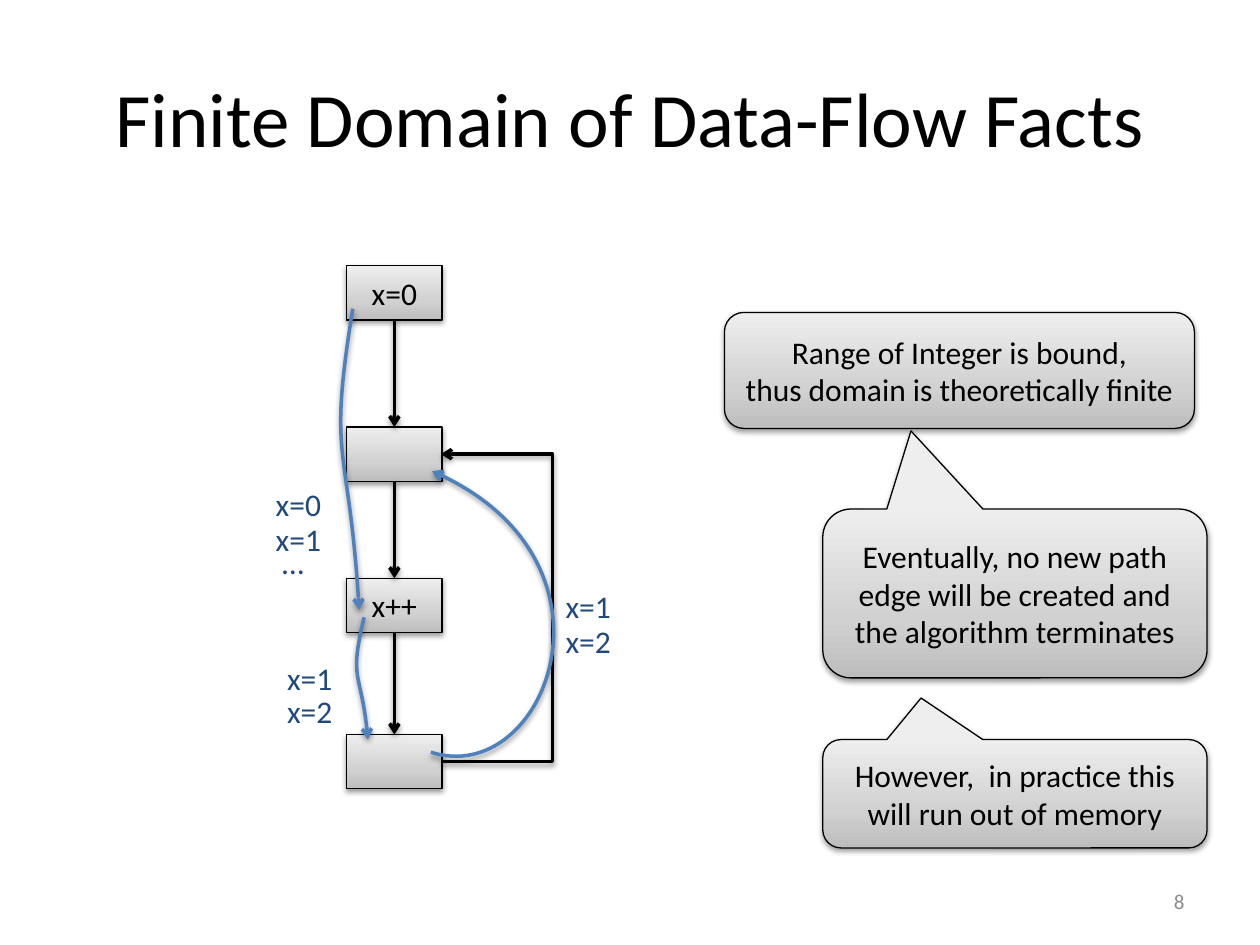
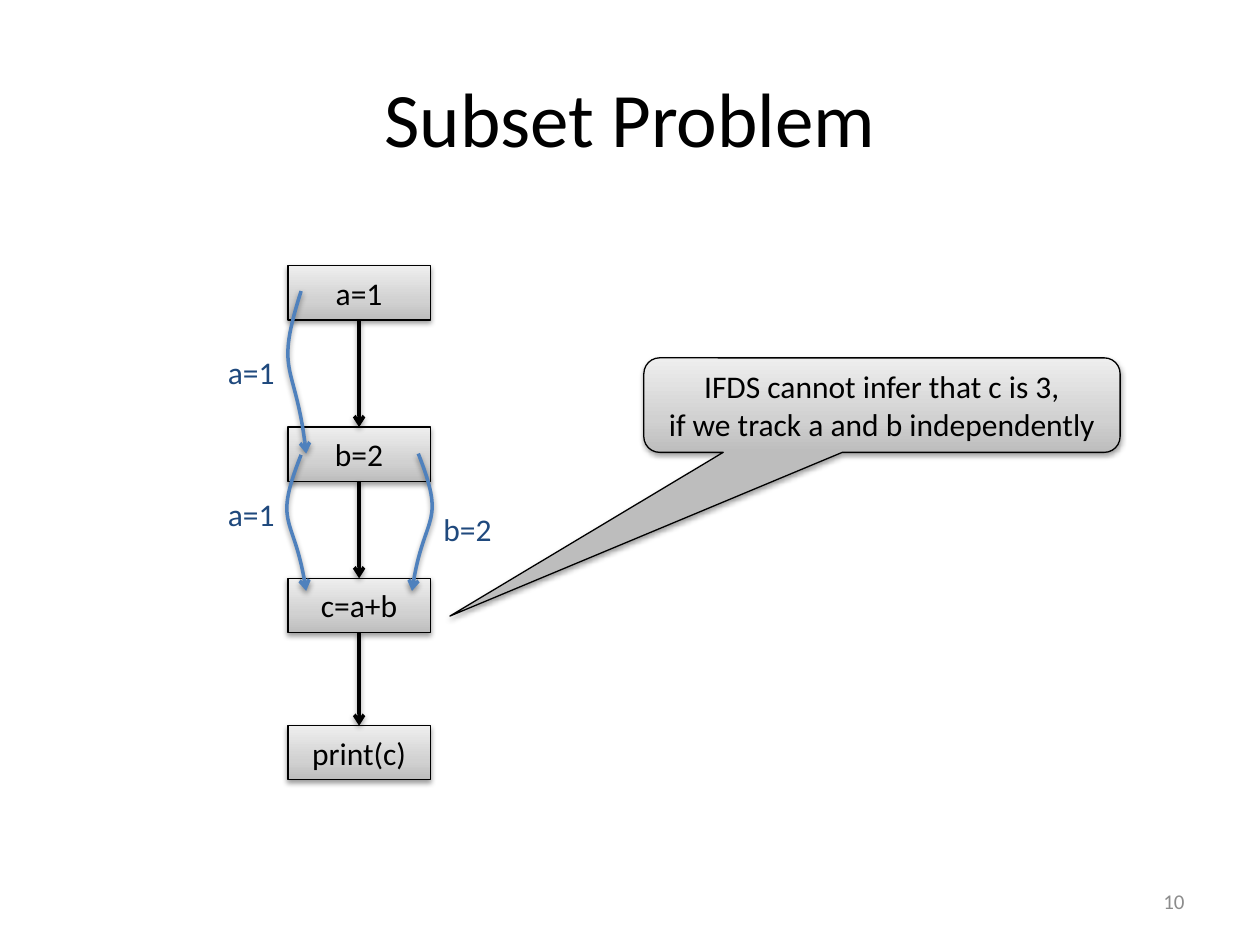
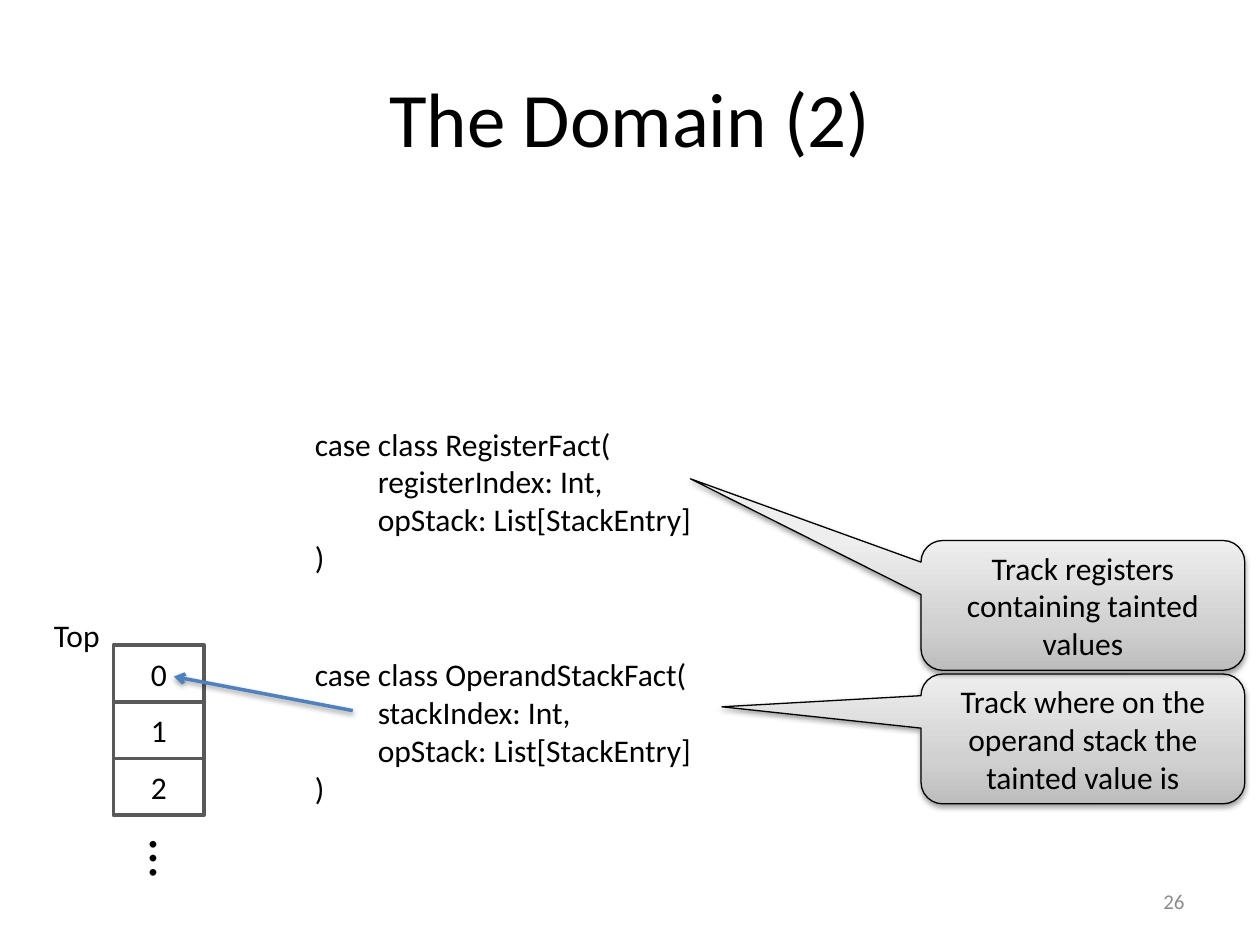
from copy import deepcopy
from dataclasses import dataclass
from itertools import pairwise

from lxml import etree
from pptx import Presentation
from pptx.dml.color import RGBColor
from pptx.enum.shapes import MSO_CONNECTOR, MSO_SHAPE
from pptx.enum.text import MSO_ANCHOR, MSO_AUTO_SIZE, PP_ALIGN
from pptx.oxml.ns import qn
from pptx.util import Inches, Pt

STRAIGHT, ELBOW = MSO_CONNECTOR.STRAIGHT, MSO_CONNECTOR.ELBOW
RECTANGLE, ROUNDED = MSO_SHAPE.RECTANGLE, MSO_SHAPE.ROUNDED_RECTANGLE
CALLOUT = MSO_SHAPE.ROUNDED_RECTANGULAR_CALLOUT
TOP, MIDDLE = MSO_ANCHOR.TOP, MSO_ANCHOR.MIDDLE
LEFT, CENTER, RIGHT = PP_ALIGN.LEFT, PP_ALIGN.CENTER, PP_ALIGN.RIGHT
FIT_SHAPE = MSO_AUTO_SIZE.SHAPE_TO_FIT_TEXT
TITLE_ONLY = 5


@dataclass(frozen=True)
class Theme:
    font: str = "Calibri"
    title_size: int = 44
    body_size: int = 18
    dots_size: int = 32
    number_size: int = 12
    ink: str = "000000"
    paper: str = "FFFFFF"
    flow: str = "4F81BD"
    fact: str = "1F497D"
    cell_line: str = "595959"
    muted: str = "8C8C8C"
    gradient: tuple = ((0, "BDBDBD"), (0.35, "D1D1D1"), (1, "EEEEEE"))
    thin: float = 0.75
    thick: float = 2


THEME = Theme()
SLIDE_SIZE = (10, 7.5)
TITLE_BOX = (0.5, 0.3, 9, 1.25)
NUMBER_BOX = (7.17, 6.95, 2.33, 0.4)
NODE_HEIGHT = 0.43
LABEL_HEIGHT = 0.4

SLIDES = [
    {
        "title": "Finite Domain of Data-Flow Facts",
        "number": "8",
        "chain": {"center": 3.13, "width": 0.76,
                  "nodes": [("x=0", 2.11), ("", 3.39), ("x++", 4.59), ("", 5.83)]},
        "loop": {"source": 3, "target": 1, "turn": 4.4},
        "curves": [
            [(2.8, 2.45), (2.6, 3.68), (2.77, 3.47), (2.85, 4.84)],
            [(2.89, 4.9), (2.77, 5.4), (2.87, 5.31), (2.92, 5.87)],
            [(3.42, 5.97), (4.32, 6.26), (5.05, 4.44), (3.43, 3.74)],
        ],
        "labels": [("x=0", 2.09, 3.8, 0.56), ("x=1", 2.09, 4.08, 0.56), ("…", 2.14, 4.26, 0.38),
                   ("x=1", 2.18, 5.18, 0.56), ("x=2", 2.18, 5.44, 0.56),
                   ("x=1", 4.39, 4.61, 0.56), ("x=2", 4.39, 4.89, 0.56)],
        "notes": [
            (["Range of Integer is bound,", "thus domain is theoretically finite"],
             (5.75, 2.48, 3.73, 0.92), None),
            (["However,  in practice this will run out of memory"],
             (6.53, 5.87, 3.05, 0.86), (7.31, 5.54)),
            (["Eventually, no new path edge will be created and the algorithm terminates"],
             (6.53, 4.04, 3.05, 1.34), (7.23, 3.42)),
        ],
    },
    {
        "title": "Subset Problem",
        "number": "10",
        "chain": {"center": 2.85, "width": 1.13,
                  "nodes": [("a=1", 2.11), ("b=2", 3.39), ("c=a+b", 4.59), ("print(c)", 5.76)]},
        "curves": [
            [(2.39, 3.61), (2.17, 4.17), (2.34, 4.07), (2.43, 4.69)],
            [(3.32, 3.6), (3.54, 4.16), (3.36, 4.06), (3.27, 4.69)],
            [(2.39, 2.31), (2.18, 2.97), (2.35, 2.86), (2.43, 3.6)],
        ],
        "labels": [("a=1", 1.71, 2.75, 0.58), ("a=1", 1.71, 3.88, 0.58), ("b=2", 3.42, 4, 0.59)],
        "notes": [
            (["IFDS cannot infer that c is 3,", "if we track a and b independently"],
             (5.11, 2.84, 3.78, 0.75), (3.57, 4.89)),
        ],
    },
    {
        "title": "The Domain (2)",
        "number": "26",
        "notes": [
            (["Track where on the operand stack the tainted value is"],
             (7.31, 5.35, 2.57, 1.03), (5.73, 5.61)),
            (["Track registers containing tainted values"],
             (7.31, 4.29, 2.57, 1.03), (5.48, 3.8)),
        ],
        "code": [
            (["case class OperandStackFact(", "stackIndex: Int,", "opStack: List[StackEntry]", ")"],
             (2.4, 5.15, 5, 1.31)),
            (["case class RegisterFact(", "registerIndex: Int,", "opStack: List[StackEntry]", ")"],
             (2.4, 3.32, 5, 1.31)),
        ],
        "stack": {"cells": ["0", "1", "2"], "first": (0.9, 5.12, 0.72, 0.45),
                  "more": ("…", (0.97, 6.64, 0.79, 0.64)),
                  "top": ("Top", (0.33, 4.84, 0.57, LABEL_HEIGHT)),
                  "pointer": ((2.8, 5.64), (1.38, 5.37))},
    },
]


def inches(values):
    return [Inches(value) for value in values]


def add_child(parent, tag, **attributes):
    child = etree.SubElement(parent, qn(tag))
    for name, value in attributes.items():
        child.set(name, str(value))
    return child


def write(shape, lines, size=THEME.body_size, color=THEME.ink, align=LEFT, anchor=TOP,
          wrap=True, fit=False, indents=()):
    frame = shape.text_frame
    frame.text = "\n".join(lines)
    frame.word_wrap = wrap
    frame.vertical_anchor = anchor
    if fit:
        frame.auto_size = FIT_SHAPE
    for paragraph in frame.paragraphs:
        paragraph.alignment = align
        for run in paragraph.runs:
            run.font.name = THEME.font
            run.font.size = Pt(size)
            run.font.color.rgb = RGBColor.from_string(color)
    for paragraph, indent in zip(frame.paragraphs, indents):
        paragraph._p.get_or_add_pPr().set("marL", str(Inches(indent)))


def add_text(slide, box, lines, **text_format):
    shape = slide.shapes.add_textbox(*inches(box))
    write(shape, lines, **text_format)
    return shape


def outline(shape, color, width, arrow=False):
    shape.line.color.rgb = RGBColor.from_string(color)
    shape.line.width = Pt(width)
    if arrow:
        add_child(shape.line._ln, "a:tailEnd", type="arrow")


def cast_shadow(shape):
    properties = shape._element.spPr
    effects = properties.find(qn("a:effectLst"))
    if effects is None:
        effects = add_child(properties, "a:effectLst")
    shadow = add_child(effects, "a:outerShdw", blurRad=40000, dist=20000, dir=5400000,
                       rotWithShape=0)
    add_child(add_child(shadow, "a:srgbClr", val=THEME.ink), "a:alpha", val=38000)


def fill_gradient(shape):
    shape.fill.gradient()
    shape.fill.gradient_angle = 90
    stop_list = shape._element.spPr.find(".//" + qn("a:gsLst"))
    stop_list.append(deepcopy(stop_list[-1]))
    for stop, (position, color) in zip(shape.fill.gradient_stops, THEME.gradient):
        stop.position = position
        stop.color.rgb = RGBColor.from_string(color)


def add_box(slide, kind, box, lines, tip=None):
    shape = slide.shapes.add_shape(kind, *inches(box))
    shape.shadow.inherit = False
    fill_gradient(shape)
    outline(shape, THEME.ink, THEME.thin)
    cast_shadow(shape)
    if tip:
        left, top, width, height = box
        shape.adjustments[0] = (tip[0] - left) / width - 0.5
        shape.adjustments[1] = (tip[1] - top) / height - 0.5
    write(shape, lines, align=CENTER, anchor=MIDDLE)


def add_arrow(slide, start, end, color=THEME.ink, turn=None):
    kind = STRAIGHT if turn is None else ELBOW
    connector = slide.shapes.add_connector(kind, *inches((*start, *end)))
    outline(connector, color, THEME.thick, arrow=True)
    cast_shadow(connector)
    if turn is not None:
        share = (turn - start[0]) / (end[0] - start[0])
        guides = connector._element.spPr.find(".//" + qn("a:avLst"))
        add_child(guides, "a:gd", name="adj1", fmla=f"val {round(share * 100000)}")


def add_curve(slide, points):
    start, *others = [inches(point) for point in points]
    builder = slide.shapes.build_freeform(*start)
    builder.add_line_segments(others, close=False)
    shape = builder.convert_to_shape()
    shape.shadow.inherit = False
    shape.fill.background()
    outline(shape, THEME.flow, THEME.thick, arrow=True)
    cast_shadow(shape)
    route = shape._element.spPr.find(".//" + qn("a:path"))
    segments = route.findall(qn("a:lnTo"))
    bezier = add_child(route, "a:cubicBezTo")
    for segment in segments:
        bezier.append(segment[0])
        route.remove(segment)


def add_chain(slide, chain, loop):
    center, width, nodes = chain["center"], chain["width"], chain["nodes"]
    for text, top in nodes:
        add_box(slide, RECTANGLE, (center - width / 2, top, width, NODE_HEIGHT), [text])
    for (_, upper), (_, lower) in pairwise(nodes):
        add_arrow(slide, (center, upper + NODE_HEIGHT), (center, lower))
    if loop:
        side = center + width / 2
        source, target = (nodes[loop[end]][1] + NODE_HEIGHT / 2 for end in ("source", "target"))
        add_arrow(slide, (side, source), (side - 0.01, target), turn=loop["turn"])


def add_stack(slide, stack):
    left, top, width, height = stack["first"]
    for row, text in enumerate(stack["cells"]):
        box = (left, top + row * height, width, height)
        cell = slide.shapes.add_shape(RECTANGLE, *inches(box))
        cell.shadow.inherit = False
        cell.fill.solid()
        cell.fill.fore_color.rgb = RGBColor.from_string(THEME.paper)
        outline(cell, THEME.cell_line, THEME.thick)
        write(cell, [text], align=CENTER, anchor=MIDDLE)
    dots, dots_box = stack["more"]
    add_text(slide, dots_box, [dots], size=THEME.dots_size, fit=True).rotation = 90
    add_arrow(slide, *stack["pointer"], color=THEME.flow)
    top_text, top_box = stack["top"]
    add_text(slide, top_box, [top_text], wrap=False, fit=True)


def add_slide(presentation, content):
    slide = presentation.slides.add_slide(presentation.slide_layouts[TITLE_ONLY])
    title = slide.shapes.title
    title.left, title.top, title.width, title.height = inches(TITLE_BOX)
    write(title, [content["title"]], size=THEME.title_size, align=CENTER, anchor=MIDDLE)
    if "chain" in content:
        add_chain(slide, content["chain"], content.get("loop"))
    for points in content.get("curves", []):
        add_curve(slide, points)
    for text, left, top, width in content.get("labels", []):
        add_text(slide, (left, top, width, LABEL_HEIGHT), [text], color=THEME.fact,
                 wrap=False, fit=True)
    for lines, box, tip in content["notes"]:
        add_box(slide, CALLOUT if tip else ROUNDED, box, lines, tip)
    for lines, box in content.get("code", []):
        add_text(slide, box, lines, fit=True, indents=(0, 0.5, 0.5, 0))
    if "stack" in content:
        add_stack(slide, content["stack"])
    add_text(slide, NUMBER_BOX, [content["number"]], size=THEME.number_size,
             color=THEME.muted, align=RIGHT, anchor=MIDDLE)


def main():
    presentation = Presentation()
    presentation.slide_width, presentation.slide_height = inches(SLIDE_SIZE)
    for content in SLIDES:
        add_slide(presentation, content)
    presentation.save("out.pptx")


if __name__ == "__main__":
    main()
